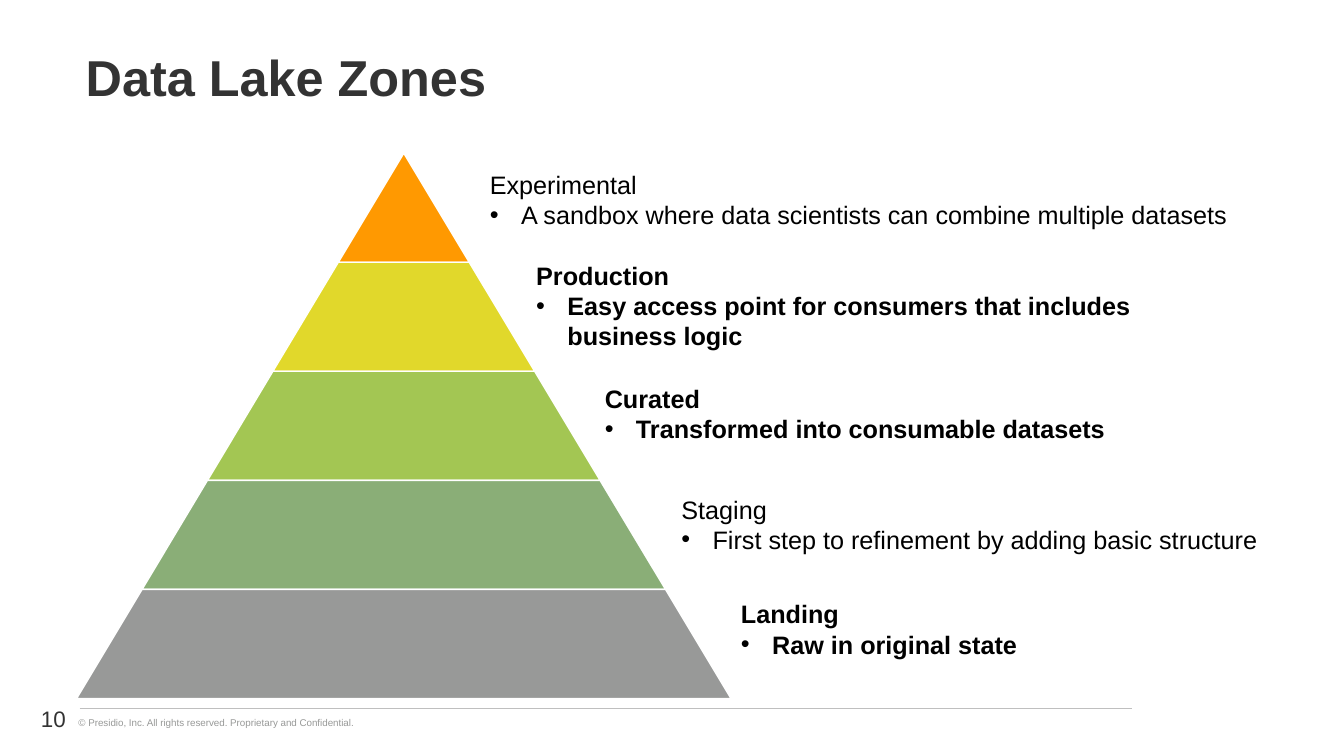
from lxml import etree
from pptx import Presentation
from pptx import util as u
from pptx.dml.color import RGBColor
from pptx.enum import shapes, text
from pptx.oxml import ns

WIDTH, HEIGHT = 13.33, 7.5
FONT = "Arial"
WHITE = RGBColor(0xFF, 0xFF, 0xFF)
BLACK = RGBColor(0x00, 0x00, 0x00)
CHARCOAL = RGBColor(0x33, 0x33, 0x33)
GRAY = RGBColor(0x98, 0x99, 0x98)
RULE = RGBColor(0xBF, 0xBF, 0xBF)
ORANGE = RGBColor(0xFF, 0x99, 0x01)
YELLOW = RGBColor(0xE1, 0xD8, 0x2B)
LIME = RGBColor(0xA3, 0xC6, 0x53)
SAGE = RGBColor(0x8A, 0xAE, 0x77)

TITLE_FORMAT = {"size": u.Pt(36), "bold": True, "color": CHARCOAL}
NUMBER_FORMAT = {"size": u.Pt(16), "color": CHARCOAL}
FOOTER_FORMAT = {"size": u.Pt(7), "color": GRAY}
NOTE_FORMAT = {"size": u.Pt(18), "color": BLACK}

# Zone, description, bold, colour, box of the note
ZONES = [
    ("Experimental", "A sandbox where data scientists can combine multiple datasets",
     False, ORANGE, (4.76, 1.63, 7.7, 0.71)),
    ("Production", "Easy access point for consumers that includes business logic",
     True, YELLOW, (5.22, 2.53, 6.67, 1.01)),
    ("Curated", "Transformed into consumable datasets",
     True, LIME, (5.9, 3.75, 6.67, 0.71)),
    ("Staging", "First step to refinement by adding basic structure",
     False, SAGE, (6.66, 4.85, 6.67, 0.71)),
    ("Landing", "Raw in original state",
     True, GRAY, (7.25, 5.89, 6.08, 0.71)),
]


def inches(box):
    return [u.Inches(length) for length in box]


def format_font(paragraph, values):
    paragraph.font.name = FONT
    for name, value in values.items():
        if name == "color":
            paragraph.font.color.rgb = value
        else:
            setattr(paragraph.font, name, value)


def add_bullet(paragraph, indent):
    properties = paragraph._p.get_or_add_pPr()
    properties.set("marL", str(u.Inches(indent)))
    properties.set("indent", str(-u.Inches(indent)))
    for tag, name, value in (("a:buFont", "typeface", FONT), ("a:buChar", "char", "•")):
        etree.SubElement(properties, ns.qn(tag)).set(name, value)


def add_text(slide, box, content, values):
    frame = slide.shapes.add_textbox(*inches(box)).text_frame
    frame.word_wrap = True
    paragraph = frame.paragraphs[0]
    paragraph.text = content
    format_font(paragraph, values)
    return frame


def add_title(slide, box, content):
    title = slide.shapes.title
    title.left, title.top, title.width, title.height = inches(box)
    frame = title.text_frame
    frame.text = content
    frame.vertical_anchor = text.MSO_ANCHOR.MIDDLE
    paragraph = frame.paragraphs[0]
    paragraph.alignment = text.PP_ALIGN.LEFT
    paragraph.line_spacing = 0.9
    format_font(paragraph, TITLE_FORMAT)


def add_pyramid(slide, box, colors):
    left, top, width, height = box
    level_height = height / len(colors)
    pyramid = slide.shapes.add_group_shape()
    for level, color in enumerate(colors):
        level_width = width * (level + 1) / len(colors)
        layer = pyramid.shapes.add_shape(
            shapes.MSO_SHAPE.TRAPEZOID,
            *inches((left + (width - level_width) / 2, top + level * level_height,
                     level_width, level_height)))
        layer.adjustments[0] = width / 2 / height
        layer.shadow.inherit = False
        layer.fill.solid()
        layer.fill.fore_color.rgb = color
        layer.line.color.rgb = WHITE
        layer.line.width = u.Pt(1)


def add_zone_note(slide, box, zone, description, bold):
    values = NOTE_FORMAT | {"bold": bold}
    frame = add_text(slide, box, zone, values)
    paragraph = frame.add_paragraph()
    paragraph.text = description
    add_bullet(paragraph, 0.31)
    format_font(paragraph, values)


def add_footer(slide, box, number, copyright_line):
    left, top, width, height = box
    rule = slide.shapes.add_connector(
        shapes.MSO_CONNECTOR.STRAIGHT,
        *inches((left + 0.79, top + 0.1, left + width, top + 0.1)))
    rule.line.color.rgb = RULE
    rule.line.width = u.Pt(0.75)
    etree.SubElement(rule._element.spPr, ns.qn("a:effectLst"))
    add_text(slide, (left + 0.68, top + 0.13, 3.2, 0.22), copyright_line, FOOTER_FORMAT)
    frame = add_text(slide, (left, top, 0.75, height), number, NUMBER_FORMAT)
    frame.vertical_anchor = text.MSO_ANCHOR.MIDDLE
    frame.paragraphs[0].alignment = text.PP_ALIGN.RIGHT


def main():
    presentation = Presentation()
    presentation.slide_width, presentation.slide_height = inches((WIDTH, HEIGHT))
    slide = presentation.slides.add_slide(presentation.slide_layouts[5])
    add_title(slide, (0.75, 0.26, 12.09, 1.07), "Data Lake Zones")
    add_pyramid(slide, (0.76, 1.52, 6.49, 5.41), [zone[3] for zone in ZONES])
    for zone, description, bold, _, box in ZONES:
        add_zone_note(slide, box, zone, description, bold)
    add_footer(slide, (0, 6.93, 11.23, 0.4), "10",
               "© Presidio, Inc. All rights reserved. Proprietary and Confidential.")
    presentation.save("out.pptx")


if __name__ == "__main__":
    main()
